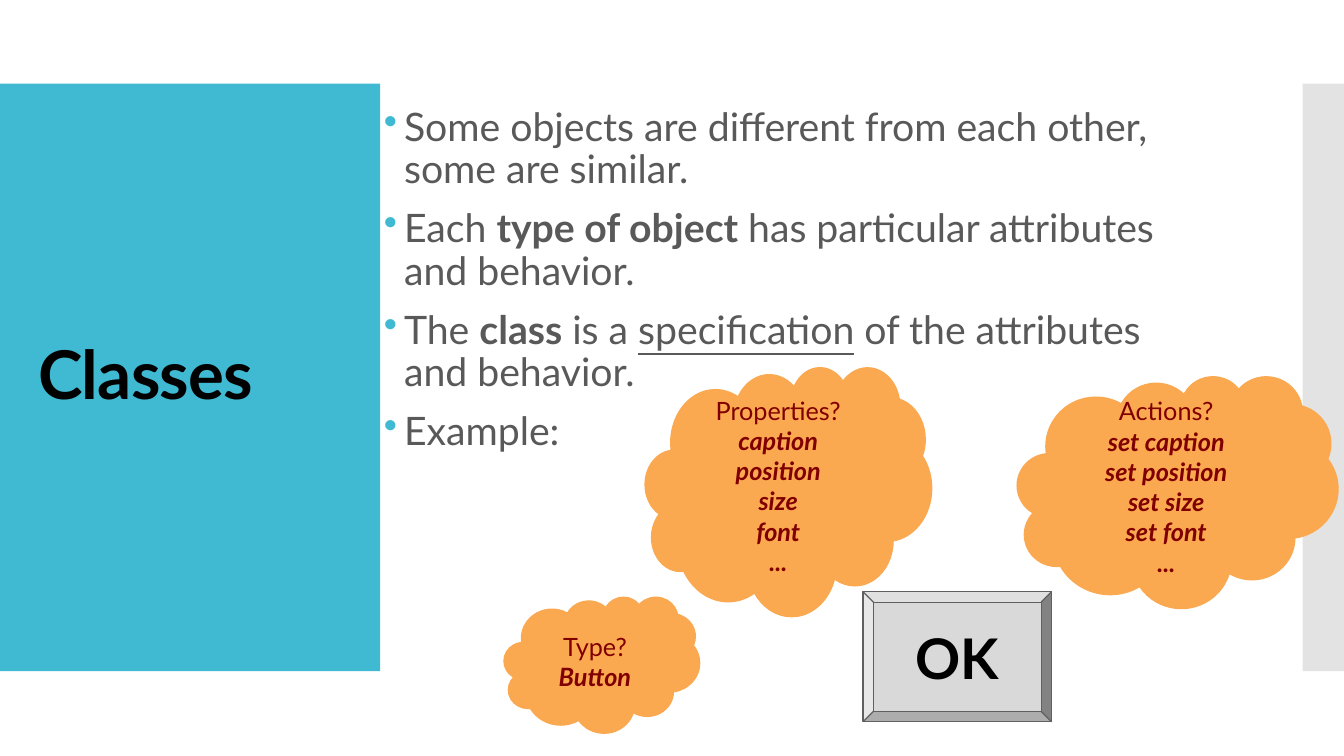
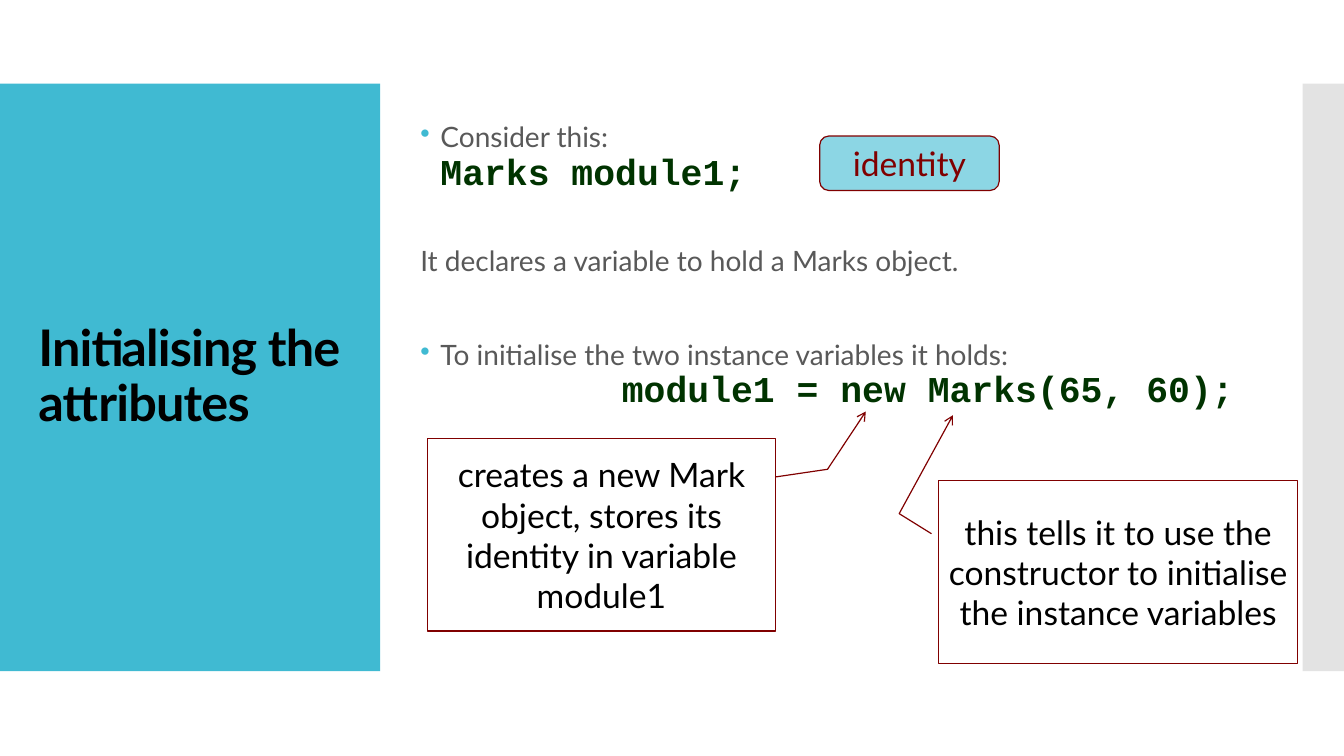
from lxml import etree
from pptx import Presentation
from pptx import util as u
from pptx.dml.color import RGBColor
from pptx.enum import shapes, text
from pptx.oxml.ns import qn

COLORS = {
    "accent": "40BAD2", "edge": "C8C8C8", "body": "595959", "ink": "000000",
    "code": "003300", "maroon": "800000", "cloud": "FAA950", "pale": "8CD6E4",
    "button": "D9D9D9", "button_line": "606060",
}
SANS, MONO = "Lato", "Courier New"
BAND_TOP, BAND_HEIGHT = 0.83, 5.83
TITLE_BOX = (0.28, 1.23, 3.22, 5.03)
HANG = 0.2


def rgb(name):
    """Return the palette colour called name."""
    return RGBColor.from_string(COLORS[name])


def inches(box):
    """Turn a box of numbers into lengths."""
    return [u.Inches(value) for value in box]


def style_run(run, size, color, face=SANS, marks=""):
    """Format a run; marks holds any of b, i and u."""
    font = run.font
    font.size, font.name = u.Pt(size), face
    font.color.rgb = rgb(color)
    font.bold, font.italic, font.underline = (mark in marks for mark in "biu")


def add_panel(slide, box, kind, fill=None, line=None, adjustments=()):
    """Add a preset shape with its fill, outline and adjustments."""
    panel = slide.shapes.add_shape(kind, *inches(box))
    panel.shadow.inherit = False
    if fill:
        panel.fill.solid()
        panel.fill.fore_color.rgb = rgb(fill)
    else:
        panel.fill.background()
    if line:
        panel.line.color.rgb = rgb(line)
        panel.line.width = u.Pt(0.85)
    else:
        panel.line.fill.background()
    for index, value in enumerate(adjustments):
        panel.adjustments[index] = value
    return panel


def add_label(panel, lines, size, color):
    """Centre lines of (wording, marks) runs in a panel."""
    frame = panel.text_frame
    frame.word_wrap = True
    frame.vertical_anchor = text.MSO_ANCHOR.MIDDLE
    for index, pieces in enumerate(lines):
        paragraph = frame.add_paragraph() if index else frame.paragraphs[0]
        paragraph.alignment = text.PP_ALIGN.CENTER
        for wording, marks in pieces:
            run = paragraph.add_run()
            run.text = wording
            style_run(run, size, color, marks=marks)


def add_bands(slide):
    """Put the side bands on the layout that the slides share."""
    tree = slide.slide_layout.shapes.element
    bands = (("accent", 0, 3.77), ("edge", 12.92, 0.42))
    for position, (color, left, width) in enumerate(bands, start=2):
        band = add_panel(slide, (left, BAND_TOP, width, BAND_HEIGHT),
                         shapes.MSO_SHAPE.RECTANGLE, color)
        if color == "edge":
            tint = band.element.spPr.find(".//" + qn("a:srgbClr"))
            etree.SubElement(tint, qn("a:alpha"), val="50000")
        tree.insert(position, band.element)


def add_title(slide, heading, size):
    """Place and format the title over the left band."""
    title = slide.shapes.title
    title.left, title.top, title.width, title.height = inches(TITLE_BOX)
    frame = title.text_frame
    frame.text = heading
    frame.word_wrap = True
    frame.auto_size = text.MSO_AUTO_SIZE.NONE
    frame.vertical_anchor = text.MSO_ANCHOR.MIDDLE
    paragraph = frame.paragraphs[0]
    paragraph.alignment = text.PP_ALIGN.LEFT
    paragraph.line_spacing = 0.9
    run = paragraph.runs[0]
    style_run(run, size, "ink", marks="b")
    run.font._element.set("spc", "-60")


def add_body(slide, box, entries, size):
    """Add body text; an entry is (runs, bullet, indent, space before)."""
    frame = slide.shapes.add_textbox(*inches(box)).text_frame
    frame.word_wrap = True
    frame.vertical_anchor = text.MSO_ANCHOR.MIDDLE
    for index, (pieces, bullet, indent, gap) in enumerate(entries):
        paragraph = frame.add_paragraph() if index else frame.paragraphs[0]
        paragraph.line_spacing = 0.9
        paragraph.space_before = u.Pt(gap)
        properties = paragraph._p.get_or_add_pPr()
        properties.set("marL", str(u.Inches(indent)))
        properties.set("indent", str(u.Inches(-HANG if bullet else 0)))
        if bullet:
            color = etree.SubElement(properties, qn("a:buClr"))
            etree.SubElement(color, qn("a:srgbClr"), val=COLORS["accent"])
            etree.SubElement(properties, qn("a:buChar"), char="•")
        for wording, marks in pieces:
            run = paragraph.add_run()
            run.text = wording
            if marks == "code":
                style_run(run, 26, "code", MONO, "b")
            else:
                style_run(run, size, "body", marks=marks)


def add_cloud(slide, box, lines):
    """Add an orange cloud with its lines of text."""
    cloud = add_panel(slide, box, shapes.MSO_SHAPE.CLOUD, "cloud", "cloud")
    add_label(cloud, lines, 18, "maroon")


def add_callout(slide, box, wording, pointer):
    """Add a framed note whose bent pointer ends in an arrow."""
    callout = add_panel(slide, box, shapes.MSO_SHAPE.LINE_CALLOUT_2,
                        line="maroon", adjustments=pointer)
    outline = callout.element.spPr.find(qn("a:ln"))
    etree.SubElement(outline, qn("a:tailEnd"), type="arrow")
    add_label(callout, [[(wording, "")]], 24, "ink")


def build_classes(slide):
    """Fill the slide on classes and the button example."""
    add_title(slide, "Classes", 48)
    points = (
        [("Some objects are different from each other, some are similar.", "")],
        [("Each ", ""), ("type of object", "b"),
         (" has particular attributes and behavior.", "")],
        [("The ", ""), ("class", "b"), (" is a ", ""), ("specification", "u"),
         (" of the attributes and behavior.", "")],
        [("Example:", "")],
    )
    add_body(slide, (3.71, 0.28, 8, 5.01),
             [(pieces, True, HANG, 12) for pieces in points], 28)
    add_cloud(slide, (5, 5.92, 1.94, 1.35), [[("Type? ", ""), ("Button", "bi")]])
    members = ("caption", "position", "size", "font")
    clouds = (
        ("Properties?", "", (6.4, 3.64, 2.84, 2.47)),
        ("Actions?", "set ", (10.09, 3.73, 3.18, 2.3)),
    )
    for question, prefix, box in clouds:
        answers = [prefix + member for member in members] + ["..."]
        add_cloud(slide, box, [[(question, "")]] + [[(a, "bi")] for a in answers])
    ok_button = add_panel(slide, (8.56, 5.87, 1.87, 1.29), shapes.MSO_SHAPE.BEVEL,
                          "button", "button_line", (0.08,))
    add_label(ok_button, [[("OK", "b")]], 40, "ink")


def build_initialising(slide):
    """Fill the slide on initialising attributes."""
    add_title(slide, "Initialising the attributes", 36)
    add_body(slide, (4.07, 0.36, 9.64, 4.58), [
        ([("Consider this:", "")], True, HANG, 12),
        ([("Marks module1;", "code")], False, HANG, 0),
        ([("It declares a variable to hold a Marks object.", "")], False, 0, 38.5),
        ([("To initialise the two instance variables it holds:", "")],
         True, HANG, 45.6),
        ([("module1 = new Marks(65, 60);", "code")], False, 2, 0),
    ], 20)
    add_callout(slide, (4.24, 4.35, 3.45, 1.91),
                "creates a new Mark object, stores its identity in variable module1",
                (0.2, 1.0, 0.16, 1.15, -0.14, 1.26))
    add_callout(slide, (9.31, 4.77, 3.56, 1.81),
                "this tells it to use the constructor to initialise "
                "the instance variables",
                (0.29, -0.02, 0.18, -0.11, -0.36, 0.04))
    identity = add_panel(slide, (8.13, 1.35, 1.78, 0.54),
                         shapes.MSO_SHAPE.ROUNDED_RECTANGLE, "pale", "maroon")
    add_label(identity, [[("identity", "")]], 24, "maroon")


def main():
    """Build and save the deck."""
    deck = Presentation()
    deck.slide_width, deck.slide_height = u.Inches(13.33), u.Inches(7.5)
    title_only = deck.slide_layouts[5]
    for number, build in enumerate((build_classes, build_initialising)):
        slide = deck.slides.add_slide(title_only)
        if number == 0:
            add_bands(slide)
        build(slide)
    deck.save("out.pptx")


main()
